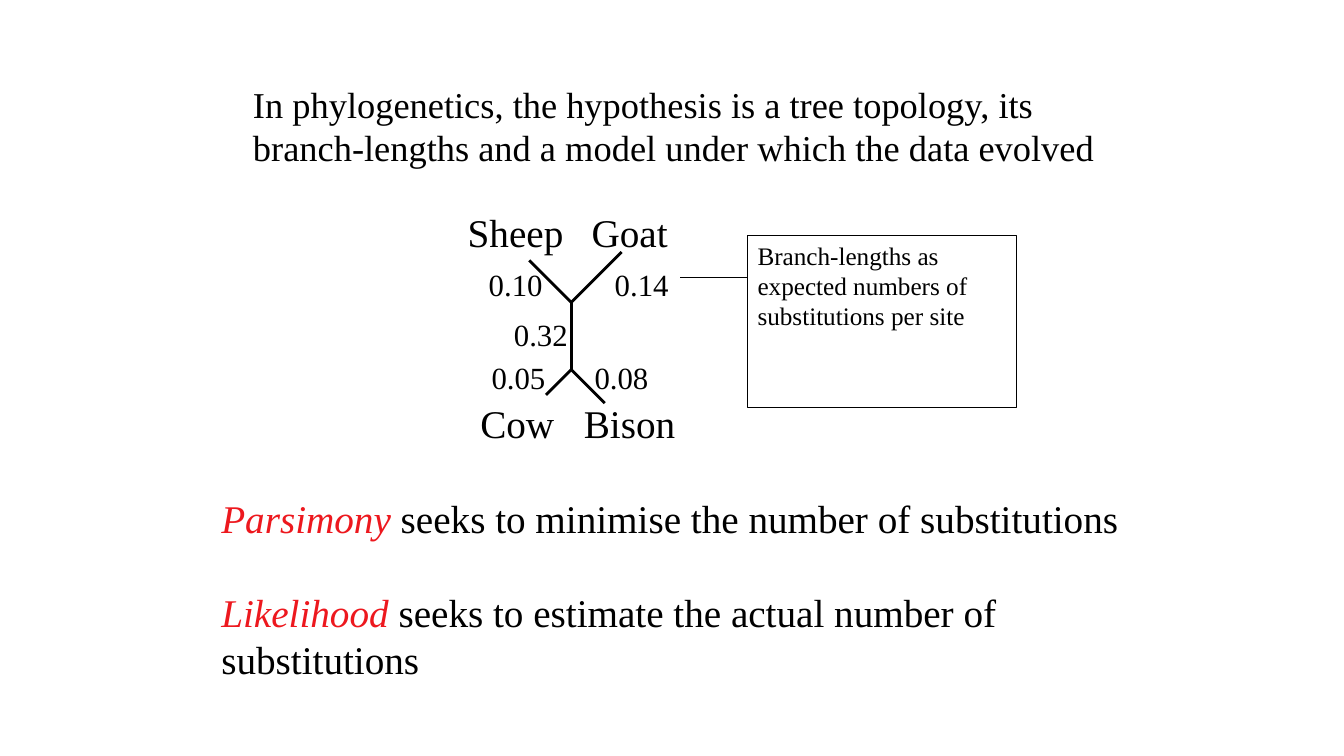
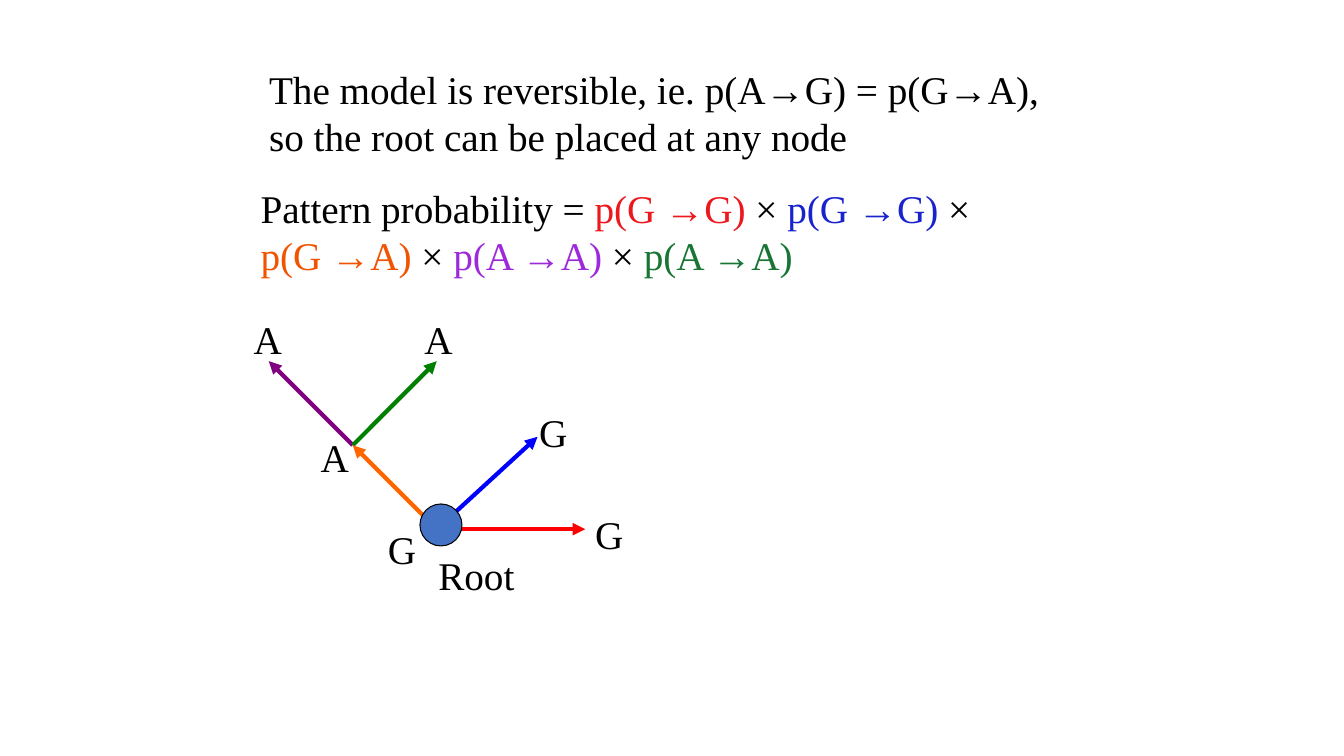
"""Build two slides on tree hypotheses and pattern probabilities."""
import dataclasses

import lxml.etree
import pptx
import pptx.dml.color
import pptx.enum.shapes
import pptx.enum.text
import pptx.oxml.ns
import pptx.util

Pt = pptx.util.Pt


@dataclasses.dataclass(frozen=True)
class Theme:
    font: str = "Times New Roman"
    ink: str = "000000"
    accent: str = "ED181E"
    root_fill: str = "4472C4"
    body_size: int = 28
    title_size: int = 26
    length_size: int = 22
    note_size: int = 18
    thin: float = 0.75
    branch: float = 2
    arrow: float = 3
    paragraph_gap: float = 33.6


class Deck:
    def __init__(self, theme):
        self.theme = theme
        self.presentation = pptx.Presentation()
        self.presentation.slide_width = Pt(960)
        self.presentation.slide_height = Pt(540)
        self.slide = None

    def color(self, value):
        return pptx.dml.color.RGBColor.from_string(value)

    def fill_text(self, shape, paragraphs, size):
        frame = shape.text_frame
        frame.word_wrap = True
        frame.auto_size = pptx.enum.text.MSO_AUTO_SIZE.NONE
        frame.vertical_anchor = pptx.enum.text.MSO_ANCHOR.TOP
        for index, pieces in enumerate(paragraphs):
            paragraph = frame.add_paragraph() if index else frame.paragraphs[0]
            paragraph.alignment = pptx.enum.text.PP_ALIGN.LEFT
            paragraph.space_before = Pt(self.theme.paragraph_gap if index else 0)
            for text, color, italic in pieces:
                run = paragraph.add_run()
                run.text = text
                run.font.name = self.theme.font
                run.font.size = Pt(size)
                run.font.italic = italic
                run.font.color.rgb = self.color(color)

    def plain(self, text):
        return [[(text, self.theme.ink, False)]]

    def add_slide(self, title, left, top, width, height, size):
        self.slide = self.presentation.slides.add_slide(self.presentation.slide_layouts[5])
        shape = self.slide.shapes.title
        shape.left, shape.top = Pt(left), Pt(top)
        shape.width, shape.height = Pt(width), Pt(height)
        self.fill_text(shape, self.plain(title), size)

    def add_text(self, paragraphs, left, top, width, height):
        shape = self.slide.shapes.add_textbox(Pt(left), Pt(top), Pt(width), Pt(height))
        self.fill_text(shape, paragraphs, self.theme.body_size)

    def add_label(self, text, left, top, size=None):
        size = size or self.theme.body_size
        shape = self.slide.shapes.add_textbox(Pt(left), Pt(top), Pt(90), Pt(1.2 * size + 7.2))
        self.fill_text(shape, self.plain(text), size)

    def add_shape(self, kind, left, top, width, height, fill=None, text=None):
        shape = self.slide.shapes.add_shape(kind, Pt(left), Pt(top), Pt(width), Pt(height))
        shape.shadow.inherit = False
        if fill:
            shape.fill.solid()
            shape.fill.fore_color.rgb = self.color(fill)
        else:
            shape.fill.background()
        shape.line.color.rgb = self.color(self.theme.ink)
        shape.line.width = Pt(self.theme.thin)
        if text:
            self.fill_text(shape, self.plain(text), self.theme.note_size)

    def add_line(self, start, end, width, color=None, arrow=False):
        connector = self.slide.shapes.add_connector(
            pptx.enum.shapes.MSO_CONNECTOR.STRAIGHT, *map(Pt, start + end))
        connector.line.color.rgb = self.color(color or self.theme.ink)
        connector.line.width = Pt(width)
        qn = pptx.oxml.ns.qn
        properties = connector.element.spPr
        if arrow:
            lxml.etree.SubElement(properties.find(qn("a:ln")), qn("a:tailEnd"), type="triangle")
        lxml.etree.SubElement(properties, qn("a:effectLst"))


def build_hypothesis(deck):
    theme = deck.theme
    deck.add_slide(
        "In phylogenetics, the hypothesis is a tree topology, its branch-lengths "
        "and a model under which the data evolved", 173.5, 54.7, 618, 70, theme.title_size)

    upper_node, lower_node = (408, 216), (408, 264)
    for start, end in (
        (upper_node, lower_node),
        (upper_node, (444, 180)),
        (upper_node, (378, 186)),
        (lower_node, (432, 288)),
        (lower_node, (390, 282)),
    ):
        deck.add_line(start, end, theme.branch)
    for species, left, top in (
        ("Sheep", 327, 145.5), ("Goat", 415.5, 145.5),
        ("Cow", 336, 281.5), ("Bison", 410, 281.5),
    ):
        deck.add_label(species, left, top)
    for length, left, top in (
        ("0.10", 342, 186), ("0.14", 432, 186), ("0.32", 360, 222),
        ("0.05", 344, 252.7), ("0.08", 417.6, 252.7),
    ):
        deck.add_label(length, left, top, theme.length_size)

    deck.add_shape(
        pptx.enum.shapes.MSO_SHAPE.RECTANGLE, 534, 168, 192, 123,
        text="Branch-lengths as expected numbers of substitutions per site")
    deck.add_line((486, 198), (534, 198), theme.thin)

    methods = (
        ("Parsimony", " seeks to minimise the number of substitutions"),
        ("Likelihood", " seeks to estimate the actual number of substitutions"),
    )
    deck.add_text(
        [[(name, theme.accent, True), (aim, theme.ink, False)] for name, aim in methods],
        151, 349.2, 658, 142)


def build_probability(deck):
    theme = deck.theme
    deck.add_slide(
        "The model is reversible, ie. p(A→G) = p(G→A), so the root can be placed at any node",
        185, 43, 576, 74, theme.body_size)

    root, inner_node = (312, 378), (252, 318)
    for start, end, color in (
        (inner_node, (192, 258), "800080"),
        (inner_node, (312, 258), "008000"),
        (root, inner_node, "FF6600"),
        (root, (384, 312), "0000FF"),
        (root, (418, 378), "FF0000"),
    ):
        deck.add_line(start, end, theme.arrow, color, arrow=True)
    deck.add_shape(pptx.enum.shapes.MSO_SHAPE.OVAL, 300, 360, 30, 30, fill=theme.root_fill)
    for text, left, top in (
        ("Root", 306, 390), ("A", 174, 222), ("A", 296, 222), ("G", 378, 288),
        ("G", 418, 361), ("A", 222, 306), ("G", 270, 372),
    ):
        deck.add_label(text, left, top)

    pieces = []
    separator = "Pattern probability = "
    for factor, color in (
        ("p(G →G)", theme.accent), ("p(G →G)", "1822CD"), ("p(G →A)", "F05400"),
        ("p(A →A)", "9D29DB"), ("p(A →A)", "187534"),
    ):
        pieces += [(separator, theme.ink, False), (factor, color, False)]
        separator = " × "
    deck.add_text([pieces], 179, 128, 552, 74)


def main():
    deck = Deck(Theme())
    build_hypothesis(deck)
    build_probability(deck)
    deck.presentation.save("out.pptx")


if __name__ == "__main__":
    main()
